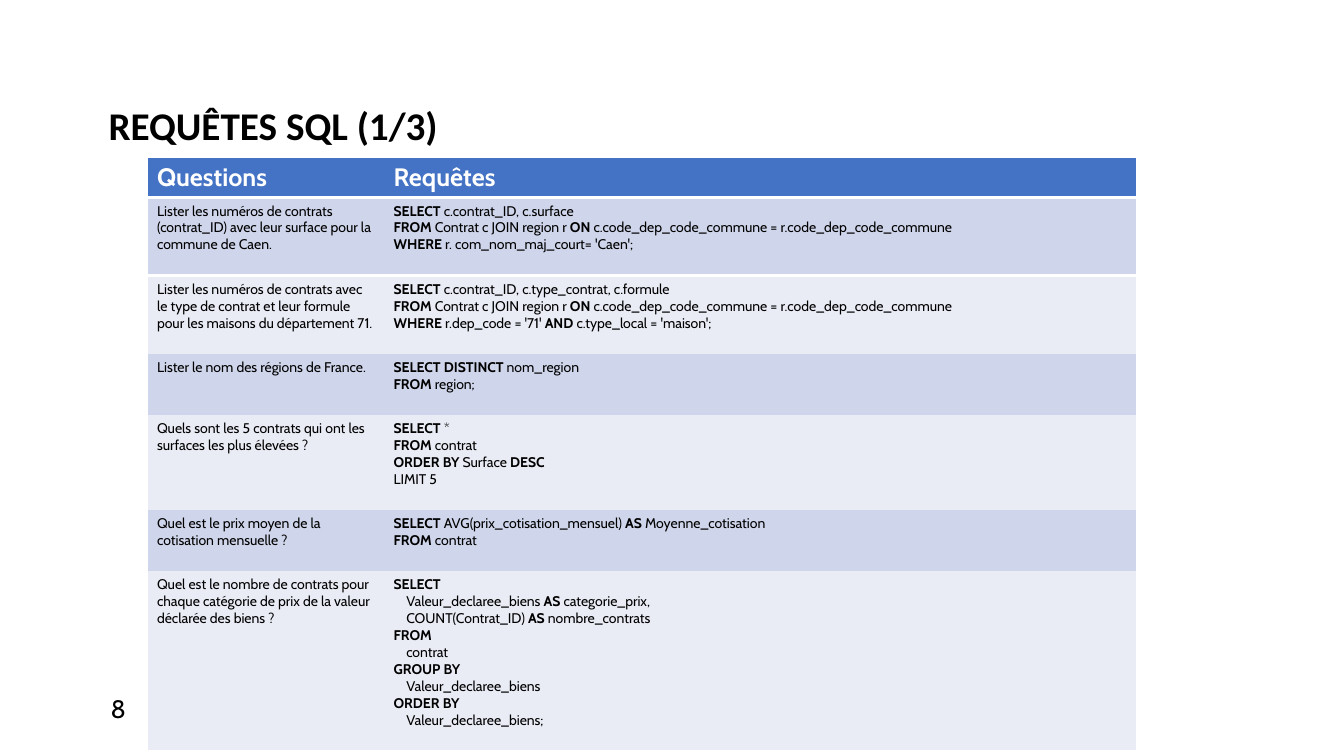
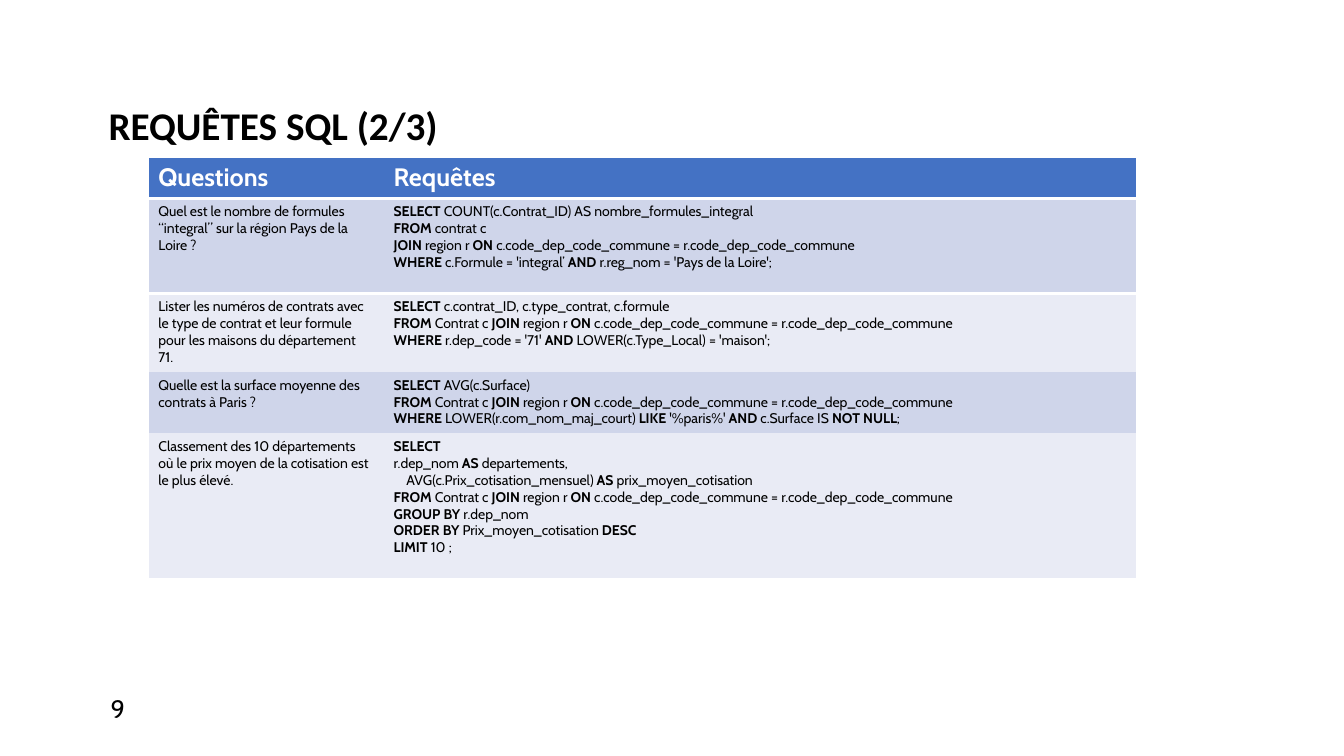
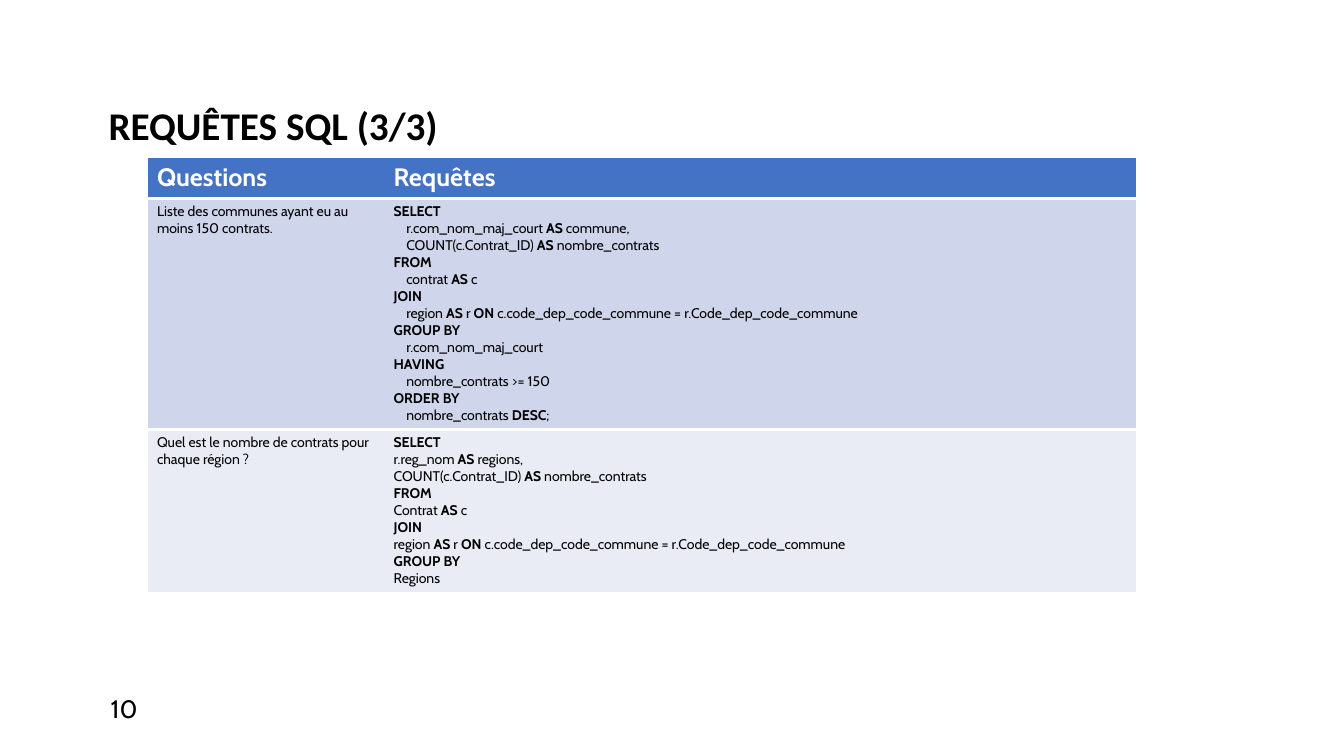
from lxml import etree
from pptx import Presentation
from pptx.dml.color import RGBColor
from pptx.enum.text import MSO_ANCHOR
from pptx.oxml.ns import qn
from pptx.util import Pt

BOTTOM, MIDDLE = MSO_ANCHOR.BOTTOM, MSO_ANCHOR.MIDDLE

COLORS = {
    "text": "000000",
    "header": "4472C4",
    "header_text": "FFFFFF",
    "border": "FFFFFF",
    "odd_row": "CFD5EA",
    "even_row": "E9EBF5",
}
TITLE_FONT, BODY_FONT = "Calibri", "Cabin"
TITLE_BOX = (70.5, 5.75, 819.5, 104.5)
NUMBER_BOX = (72, 491.75, 210, 29)
TABLE_TOP, TABLE_RIGHT, QUERY_WIDTH = 112.25, 812, 538
LINE_HEIGHT, CELL_PADDING, INDENT = 12.14, 7.2, 9
NO_GRID_STYLE = "{2D5ABB26-0587-4C30-8999-92F81FD0307C}"
HEADINGS = ("Questions", "Requêtes")

ON_COMMUNE = "**ON **c.code_dep_code_commune = r.code_dep_code_commune"
ON_CODE = "**ON **c.code_dep_code_commune = r.Code_dep_code_commune"
FROM_JOIN = "**FROM** Contrat c **JOIN **region r " + ON_COMMUNE
FROM_PLAIN_JOIN = "**FROM** Contrat c JOIN region r " + ON_COMMUNE
SELECT_FORMULA = "**SELECT **c.contrat_ID, c.type_contrat, c.formule"
HOUSES_71 = ("Lister les numéros de contrats avec le type de contrat et leur "
             "formule pour les maisons du département 71.")

# fmt: off
PAGES = [
    {"number": 8, "question_width": 169, "header_height": 28, "rows": [
        ("Lister les numéros de contrats (contrat_ID) avec leur surface pour la commune de Caen.", 4, (
            "**SELECT **c.contrat_ID, c.surface",
            FROM_PLAIN_JOIN,
            "**WHERE** r. com_nom_maj_court= 'Caen';")),
        (HOUSES_71, 4, (
            SELECT_FORMULA,
            FROM_PLAIN_JOIN,
            "**WHERE **r.dep_code = '71' **AND **c.type_local = 'maison';")),
        ("Lister le nom des régions de France.", 3, (
            "**SELECT DISTINCT **nom_region",
            "**FROM **region;")),
        ("Quels sont les 5 contrats qui ont les surfaces les plus élevées ?", 5, (
            "**SELECT** *",
            "**FROM** contrat",
            "**ORDER BY** Surface **DESC**",
            "LIMIT 5")),
        ("Quel est le prix moyen de la cotisation mensuelle ?", 3, (
            "**SELECT** AVG(prix_cotisation_mensuel) **AS **Moyenne_cotisation",
            "**FROM** contrat")),
        ("Quel est le nombre de contrats pour chaque catégorie de prix de la valeur déclarée des biens ?", 10, (
            "**SELECT**",
            "\tValeur_declaree_biens **AS **categorie_prix,",
            "\tCOUNT(Contrat_ID) **AS **nombre_contrats",
            "**FROM**",
            "\tcontrat",
            "**GROUP BY**",
            "\tValeur_declaree_biens",
            "**ORDER BY**",
            "\tValeur_declaree_biens;")),
    ]},
    {"number": 9, "question_width": 168, "header_height": 29.5, "rows": [
        ("Quel est le nombre de formules “integral” sur la région Pays de la Loire ?", 5, (
            "**SELECT** COUNT(c.Contrat_ID) AS nombre_formules_integral",
            "**FROM** contrat c",
            "**JOIN **region r " + ON_COMMUNE,
            "**WHERE **c.Formule = 'integral’ **AND **r.reg_nom = 'Pays de la Loire';")),
        (HOUSES_71, 4, (
            SELECT_FORMULA,
            FROM_JOIN,
            "**WHERE **r.dep_code = '71' **AND** LOWER(c.Type_Local) = 'maison';")),
        ("Quelle est la surface moyenne des contrats à Paris ?", 3, (
            "**SELECT** AVG(c.Surface)",
            FROM_JOIN,
            "**WHERE** LOWER(r.com_nom_maj_court) **LIKE** '%paris%' **AND **c.Surface IS **NOT NULL**;")),
        ("Classement des 10 départements où le prix moyen de la cotisation est le plus élevé.", 8, (
            "**SELECT**",
            "r.dep_nom **AS **departements,",
            "\tAVG(c.Prix_cotisation_mensuel) **AS **prix_moyen_cotisation",
            FROM_JOIN,
            "**GROUP BY **r.dep_nom",
            "**ORDER BY **Prix_moyen_cotisation **DESC**",
            "**LIMIT** 10 ;")),
    ]},
    {"number": 10, "question_width": 169, "header_height": 29.5, "rows": [
        ("Liste des communes ayant eu au moins 150 contrats.", 13, (
            "**SELECT**",
            "\tr.com_nom_maj_court **AS** commune,",
            "\tCOUNT(c.Contrat_ID) **AS **nombre_contrats",
            "**FROM**",
            "\tcontrat **AS** c",
            "**JOIN**",
            "\tregion **AS** r " + ON_CODE,
            "**GROUP BY**",
            "\tr.com_nom_maj_court",
            "**HAVING**",
            "\tnombre_contrats >= 150",
            "**ORDER BY**",
            "\tnombre_contrats **DESC**;")),
        ("Quel est le nombre de contrats pour chaque région ?", 9, (
            "**SELECT**",
            "r.reg_nom **AS **regions,",
            "COUNT(c.Contrat_ID) **AS **nombre_contrats",
            "**FROM**",
            "Contrat **AS** c",
            "**JOIN**",
            "region **AS** r " + ON_CODE,
            "**GROUP BY**",
            "Regions")),
    ]},
]
# fmt: on


def style(run, size, color="text", bold=False, font=BODY_FONT):
    run.font.name = font
    run.font.size = Pt(size)
    run.font.bold = bold
    run.font.color.rgb = RGBColor.from_string(COLORS[color])


def add_label(slide, box, text, anchor, size, **look):
    frame = slide.shapes.add_textbox(*map(Pt, box)).text_frame
    frame.word_wrap = True
    frame.vertical_anchor = anchor
    frame.text = text
    style(frame.paragraphs[0].runs[0], size, **look)
    return frame.paragraphs[0]


def write_lines(cell, lines, size, color="text", bold=False):
    frame = cell.text_frame
    for index, line in enumerate(lines):
        paragraph = frame.add_paragraph() if index else frame.paragraphs[0]
        if line.startswith("\t"):
            paragraph._p.get_or_add_pPr().set("marL", str(Pt(INDENT)))
        for part, text in enumerate(line.lstrip("\t").split("**")):
            if text:
                run = paragraph.add_run()
                run.text = text
                style(run, size, color, bold or part % 2 == 1)


def add_borders(cell, widths):
    properties = cell._tc.get_or_add_tcPr()
    for side in "LRTB":
        if side in widths:
            line = etree.SubElement(properties, qn(f"a:ln{side}"), w=str(Pt(widths[side])))
            fill = etree.SubElement(line, qn("a:solidFill"))
            etree.SubElement(fill, qn("a:srgbClr"), val=COLORS["border"])


def finish_row(cells, fill, edges):
    for cell, outer_side in zip(cells, "LR"):
        add_borders(cell, {outer_side: 1, **edges})
        cell.fill.solid()
        cell.fill.fore_color.rgb = RGBColor.from_string(COLORS[fill])


def add_query_table(slide, page):
    rows = page["rows"]
    widths = (page["question_width"], QUERY_WIDTH)
    heights = [page["header_height"]]
    heights += [round(count * LINE_HEIGHT + CELL_PADDING, 2) for _, count, _ in rows]
    left = TABLE_RIGHT - sum(widths)
    table = slide.shapes.add_table(
        len(heights), len(widths), Pt(left), Pt(TABLE_TOP), Pt(sum(widths)), Pt(sum(heights))
    ).table
    table.first_row = table.horz_banding = False
    table._tbl.tblPr.find(qn("a:tableStyleId")).text = NO_GRID_STYLE
    for column, width in zip(table.columns, widths):
        column.width = Pt(width)
    for row, height in zip(table.rows, heights):
        row.height = Pt(height)

    header, *body = [list(row.cells) for row in table.rows]
    for cell, heading in zip(header, HEADINGS):
        write_lines(cell, [heading], 18, "header_text", True)
    finish_row(header, "header", {"T": 1, "B": 3})
    for index, (cells, (question, _, query)) in enumerate(zip(body, rows)):
        write_lines(cells[0], [question], 10)
        write_lines(cells[1], query, 10)
        edges = {"T": 3} if index == 0 else {}
        if index == len(rows) - 1:
            edges["B"] = 1
        finish_row(cells, "even_row" if index % 2 else "odd_row", edges)


def main():
    deck = Presentation()
    deck.slide_width, deck.slide_height = Pt(960), Pt(540)
    for part, page in enumerate(PAGES, 1):
        slide = deck.slides.add_slide(deck.slide_layouts[6])
        title = add_label(slide, TITLE_BOX, f"REQUÊTES SQL ({part}/{len(PAGES)})",
                          BOTTOM, 28, bold=True, font=TITLE_FONT)
        title.line_spacing = 0.9
        add_label(slide, NUMBER_BOX, str(page["number"]), MIDDLE, 18)
        add_query_table(slide, page)
    deck.save("out.pptx")


if __name__ == "__main__":
    main()
